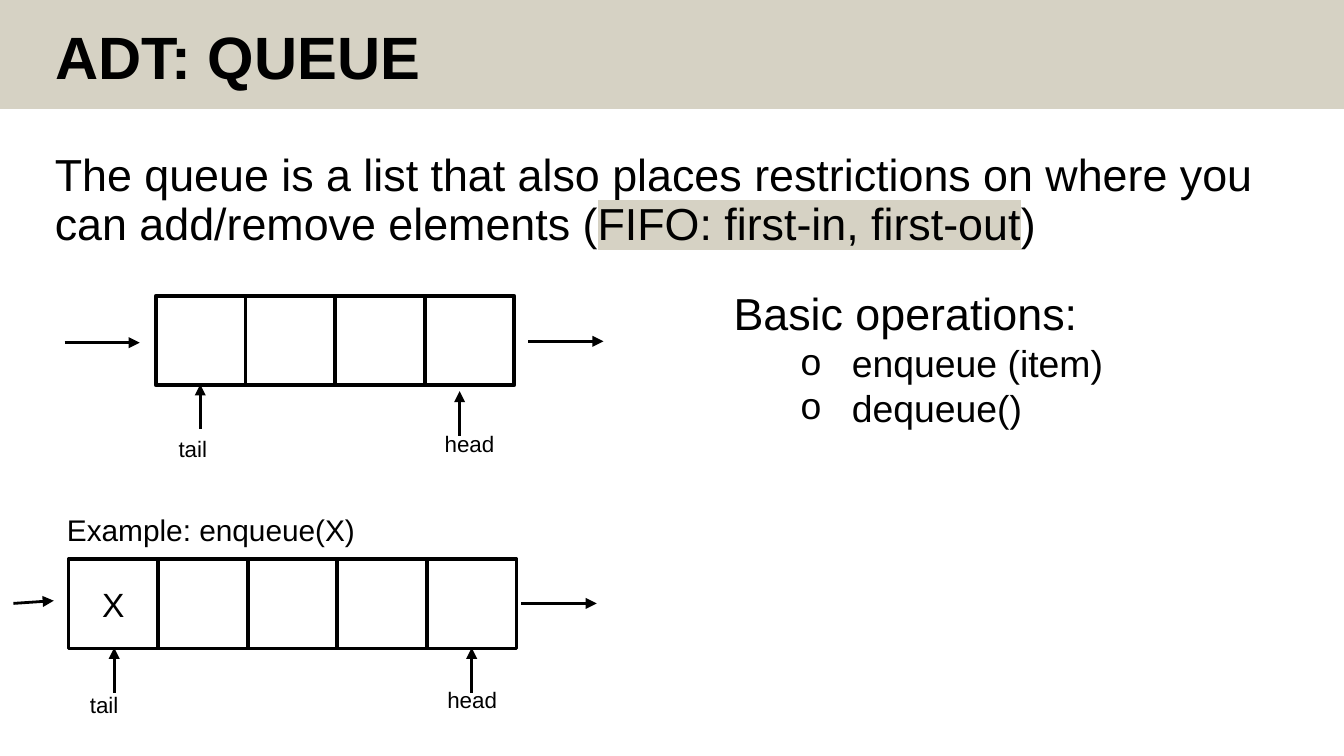
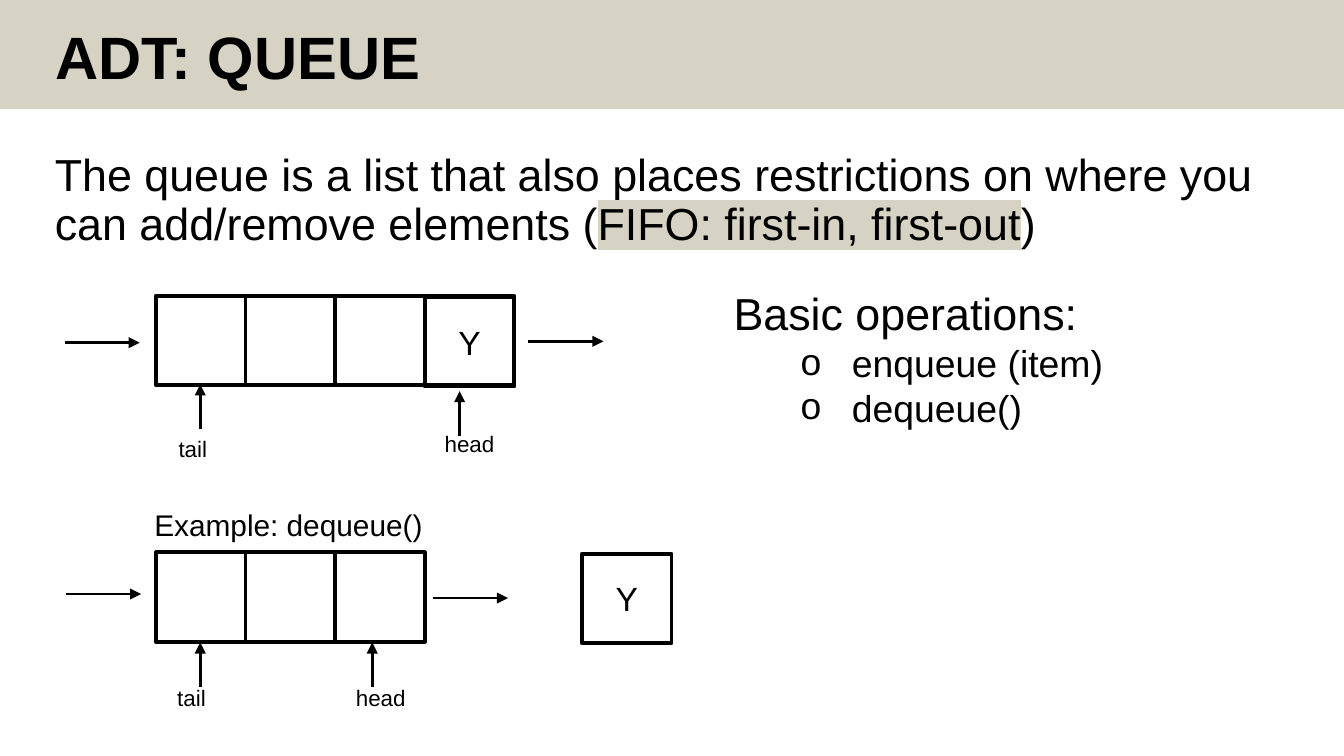
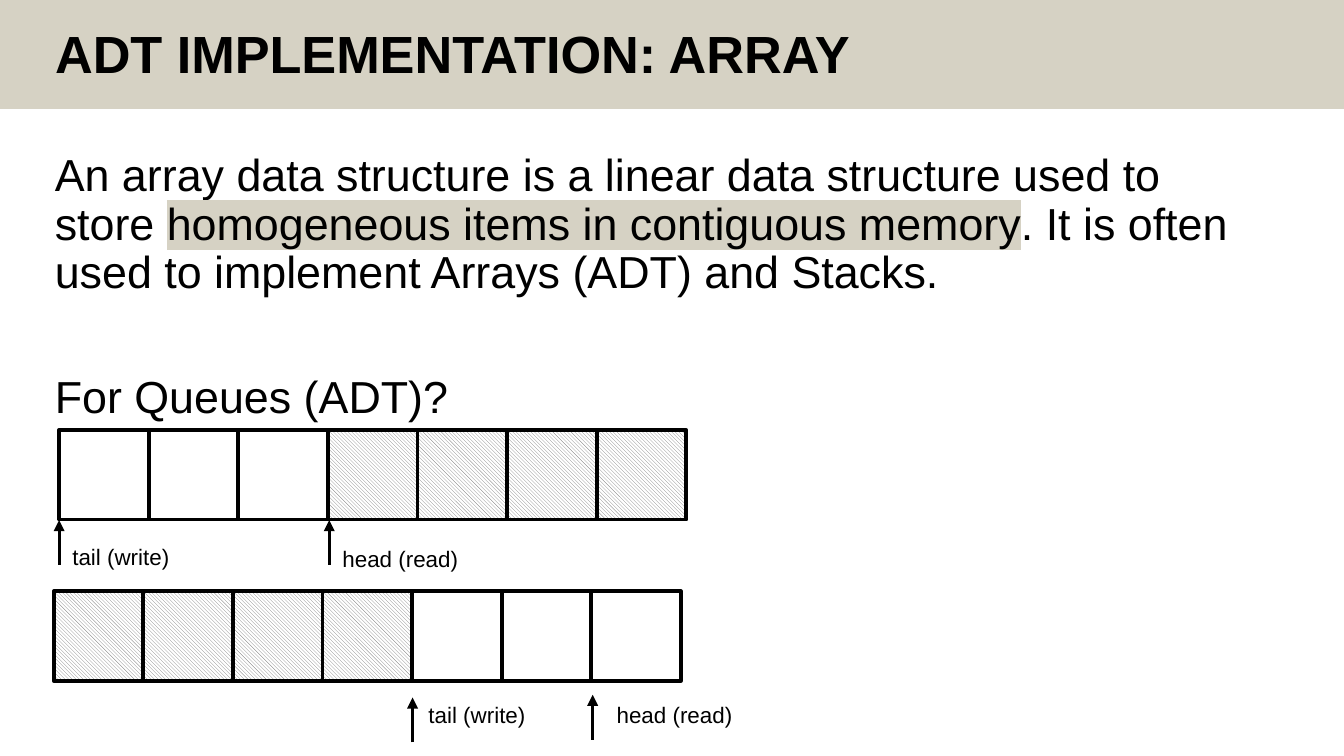
from lxml.etree import SubElement
from pptx import Presentation
from pptx.dml.color import RGBColor
from pptx.enum.dml import MSO_PATTERN
from pptx.enum.shapes import MSO_CONNECTOR, MSO_SHAPE
from pptx.enum.text import MSO_ANCHOR, MSO_AUTO_SIZE, PP_ALIGN
from pptx.oxml.ns import qn
from pptx.util import Inches, Pt

BLACK = RGBColor(0x00, 0x00, 0x00)
WHITE = RGBColor(0xFF, 0xFF, 0xFF)
GRAY = RGBColor(0x80, 0x80, 0x80)
SAND = RGBColor(0xD6, 0xD2, 0xC4)
FONT = "Arial"
WIDE = Inches(10)
HIGH = WIDE * 9 // 16
CELL = 2 / 3
STEM = CELL / 2
REACH = 0.56


def write(frame, text, size=12, bold=False, mark="", align=PP_ALIGN.LEFT,
          line=None, before=0, bullet=False):
    """Add one paragraph; the part of text equal to mark is highlighted."""
    para = frame.paragraphs[0]
    if para.runs:
        para = frame.add_paragraph()
    para.alignment = align
    para.space_before = Pt(before)
    if line:
        para.line_spacing = line
    if bullet:
        para.level = 1
        props = para._p.get_or_add_pPr()
        props.set("marL", str(Inches(0.88)))
        props.set("indent", str(Inches(-0.38)))
        SubElement(props, qn("a:buFont"), typeface=FONT)
        SubElement(props, qn("a:buChar"), char="o")
    parts = text.partition(mark) if mark else (text,)
    for part in parts:
        run = para.add_run()
        run.text = part
        font = run.font
        font.size = Pt(size)
        font.bold = bold
        font.color.rgb = BLACK
        if mark and part == mark:
            glow = SubElement(run._r.get_or_add_rPr(), qn("a:highlight"))
            SubElement(glow, qn("a:srgbClr"), val=str(SAND))
        font.name = FONT


def add_box(slide, x, y, wide, high, wrap=False):
    box = slide.shapes.add_textbox(Inches(x), Inches(y), Inches(wide), Inches(high))
    frame = box.text_frame
    frame.word_wrap = wrap
    frame.auto_size = MSO_AUTO_SIZE.NONE if wrap else MSO_AUTO_SIZE.SHAPE_TO_FIT_TEXT
    return frame


def add_label(slide, text, x, y, wide, high=0.3, size=12):
    write(add_box(slide, x, y, wide, high), text, size=size)


def add_rect(slide, x, y, wide, high):
    rect = slide.shapes.add_shape(
        MSO_SHAPE.RECTANGLE, Inches(x), Inches(y), Inches(wide), Inches(high))
    rect.shadow.inherit = False
    return rect


def add_cell(slide, x, y, text="", used=False):
    """Draw one square of a queue; a used square is hatched."""
    cell = add_rect(slide, x, y, CELL, CELL)
    cell.line.color.rgb = BLACK
    cell.line.width = Pt(2)
    if used:
        cell.fill.patterned()
        cell.fill.pattern = MSO_PATTERN.DARK_DOWNWARD_DIAGONAL
        cell.fill.fore_color.rgb = GRAY
        cell.fill.back_color.rgb = WHITE
    else:
        cell.fill.background()
    if text:
        cell.text_frame.vertical_anchor = MSO_ANCHOR.MIDDLE
        write(cell.text_frame, text, size=18, align=PP_ALIGN.CENTER)


def add_row(slide, x, y, count, first="", used=()):
    for i in range(count):
        add_cell(slide, x + i * CELL, y, "" if i else first, i in used)


def add_arrow(slide, x1, y1, x2, y2):
    arrow = slide.shapes.add_connector(
        MSO_CONNECTOR.STRAIGHT, Inches(x1), Inches(y1), Inches(x2), Inches(y2))
    arrow.line.color.rgb = BLACK
    arrow.line.width = Pt(1.5)
    SubElement(arrow.line._get_or_add_ln(), qn("a:tailEnd"), type="triangle")
    SubElement(arrow._element.spPr, qn("a:effectLst"))


def point_up(slide, x, tip):
    add_arrow(slide, x, tip + STEM, x, tip)


def point_right(slide, x, y):
    add_arrow(slide, x, y, x + REACH, y)


def add_slide(deck, title, size):
    """Add a slide with the sand band and its title."""
    slide = deck.slides.add_slide(deck.slide_layouts[5])
    band = add_rect(slide, 0, 0, 10, 0.81)
    band.fill.solid()
    band.fill.fore_color.rgb = SAND
    band.line.fill.background()
    slide.shapes._spTree.insert(2, band._element)

    head = slide.shapes.title
    head.left, head.top = Inches(0.31), Inches(0.16)
    head.width, head.height = Inches(7.7), Inches(0.53)
    frame = head.text_frame
    frame.auto_size = MSO_AUTO_SIZE.NONE
    frame.vertical_anchor = MSO_ANCHOR.TOP
    write(frame, title, size=size, bold=True, line=0.9)
    return slide


def add_body(slide, text, mark):
    frame = add_box(slide, 0.31, 1.09, 9.14, 4.1, wrap=True)
    write(frame, text, size=24, mark=mark, line=0.9)
    return frame


def add_queue(deck):
    """Add a slide with the queue's definition, operations and diagram."""
    slide = add_slide(deck, "ADT: QUEUE", 32)
    add_body(slide, "The queue is a list that also places restrictions on where "
             "you can add/remove elements (FIFO: first-in, first-out)",
             "FIFO: first-in, first-out")
    tasks = add_box(slide, 5.36, 2.08, 2.97, 1.18)
    write(tasks, "Basic operations:", size=24)
    for task in ("enqueue (item)", "dequeue()"):
        write(tasks, task, size=20, bullet=True)

    add_row(slide, 1.16, 2.2, 4)
    add_label(slide, "head", 3.21, 3.15, 0.57)
    add_label(slide, "tail", 1.23, 3.19, 0.42)
    point_up(slide, 1.49, 2.86)
    point_up(slide, 3.42, 2.91)
    point_right(slide, 3.93, 2.54)
    point_right(slide, 0.48, 2.55)
    return slide


def add_enqueue(deck):
    slide = add_queue(deck)
    add_label(slide, "Example: enqueue(X)", 0.4, 3.76, 2.37, 0.37, size=16)
    add_row(slide, 0.51, 4.16, 5, first="X")
    add_label(slide, "head", 3.23, 5.06, 0.57)
    add_label(slide, "tail", 0.57, 5.09, 0.42)
    for x in (0.85, 3.51):
        point_up(slide, x, 4.82)
    point_right(slide, 3.88, 4.49)
    add_arrow(slide, 0.1, 4.49, 0.4, 4.47)


def add_dequeue(deck):
    slide = add_queue(deck)
    add_cell(slide, 3.16, 2.21, "Y")
    add_label(slide, "Example: dequeue()", 1.05, 3.72, 2.22, 0.37, size=16)
    add_row(slide, 1.16, 4.11, 3)
    add_cell(slide, 4.33, 4.12, "Y")
    add_label(slide, "head", 2.55, 5.04, 0.57)
    add_label(slide, "tail", 1.22, 5.04, 0.42)
    for x in (1.49, 2.77):
        point_up(slide, x, 4.78)
    point_right(slide, 0.49, 4.42)
    point_right(slide, 3.22, 4.45)


def add_array(deck):
    slide = add_slide(deck, "ADT IMPLEMENTATION: ARRAY", 28)
    body = add_body(slide, "An array data structure is a linear data structure used "
                    "to store homogeneous items in contiguous memory. It is often "
                    "used to implement Arrays (ADT) and Stacks.",
                    "homogeneous items in contiguous memory")
    write(body, "For Queues (ADT)?", size=24, line=0.9, before=41)

    add_row(slide, 0.44, 3.2, 7, used=range(3, 7))
    add_label(slide, "head (read)", 2.45, 4.01, 1.07)
    add_label(slide, "tail (write)", 0.44, 3.99, 0.93)
    for x in (0.44, 2.45):
        point_up(slide, x, 3.87)

    add_row(slide, 0.4, 4.4, 7, used=range(4))
    add_label(slide, "head (read)", 4.49, 5.17, 1.07)
    add_label(slide, "tail (write)", 3.09, 5.17, 0.93)
    point_up(slide, 3.07, 5.19)
    point_up(slide, 4.41, 5.17)


def main():
    deck = Presentation()
    deck.slide_width, deck.slide_height = WIDE, HIGH
    add_enqueue(deck)
    add_dequeue(deck)
    add_array(deck)
    deck.save("out.pptx")


if __name__ == "__main__":
    main()
